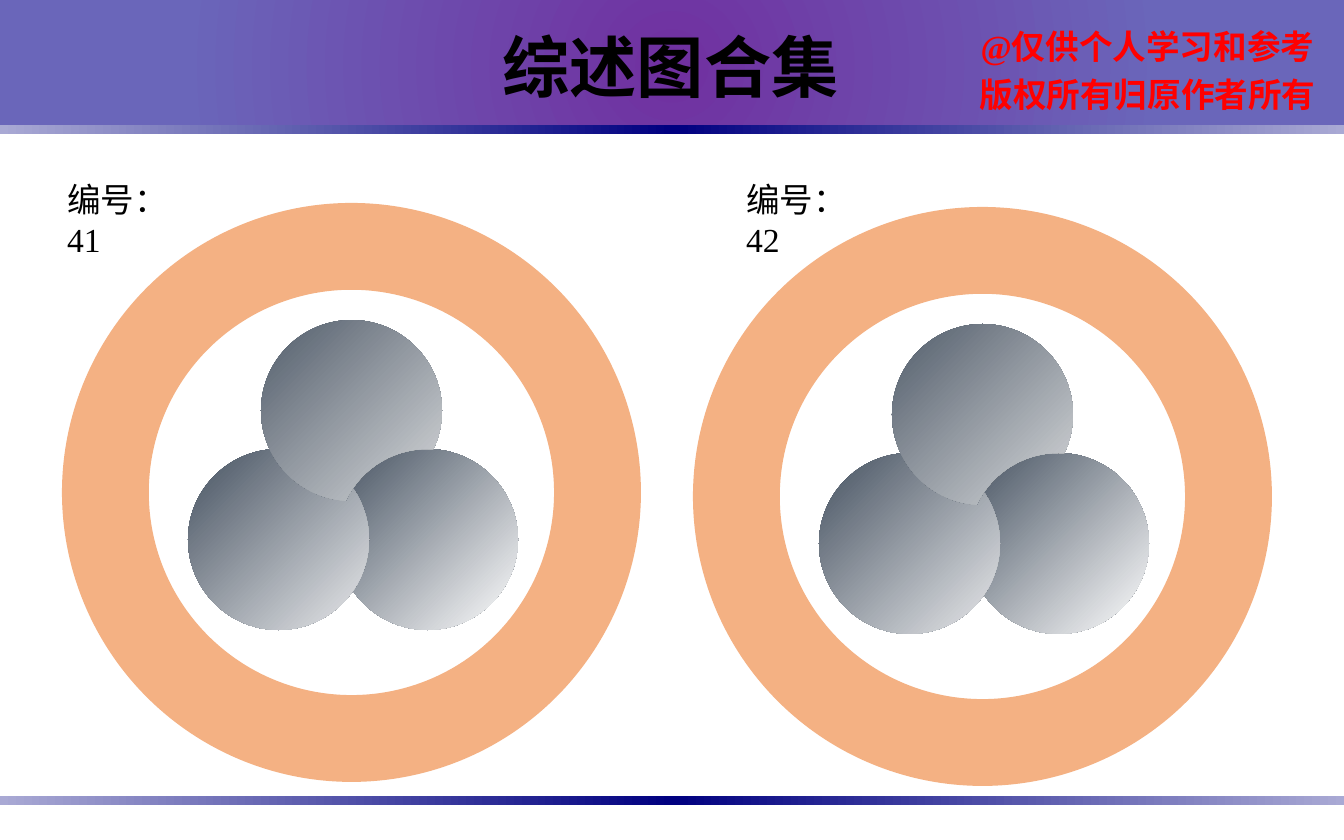
from math import acos, atan2, cos, degrees, dist, pi, sin
from lxml.etree import SubElement
from pptx import Presentation
from pptx.dml.color import RGBColor
from pptx.enum.shapes import MSO_SHAPE
from pptx.enum.text import MSO_ANCHOR, PP_ALIGN
from pptx.oxml.ns import qn
from pptx.util import Pt

PX = 914400 / 134.4
THEME = {
    "ring": "F4B183",
    "header": [(0, "7030A0"), (73, "6A66BA"), (100, "6A66BA")],
    "rule": [(0, "A9A9D4"), (50, "000080"), (100, "A9A9D4")],
    "right": [(0, "FFFFFF"), (100, "465261")],
    "left": [(0, "E8E9EB"), (100, "465261")],
    "top": [(0, "D6D8DA"), (100, "525D6B")],
    "title": {"size": Pt(36), "name": "Arial", "bold": True, "color": "000000"},
    "notice": {"size": Pt(18), "name": "Times New Roman", "bold": True, "color": "FF0000"},
    "label": {"size": Pt(18), "name": "Times New Roman", "bold": False, "color": "000000"},
}


def paint_gradient(shape, stops, focus=None):
    shape.shadow.inherit = False
    shape.line.fill.background()
    shape.fill.gradient()
    grad = shape.element.spPr.find(qn("a:gradFill"))
    for child in list(grad):
        grad.remove(child)
    stop_list = SubElement(grad, qn("a:gsLst"))
    for position, color in stops:
        stop = SubElement(stop_list, qn("a:gs"), pos=str(position * 1000))
        SubElement(stop, qn("a:srgbClr"), val=color)
    if focus:
        track = SubElement(grad, qn("a:path"), path="circle")
        SubElement(track, qn("a:fillToRect"),
                   {side: str(share * 1000) for side, share in zip("ltrb", focus)})
    else:
        SubElement(grad, qn("a:lin"), ang="0", scaled="0")


def write_text(shape, lines, style, align, wrap, spacing=1.0):
    frame = shape.text_frame
    frame.word_wrap = wrap
    frame.vertical_anchor = MSO_ANCHOR.TOP
    frame.text = "\n".join(lines)
    for paragraph in frame.paragraphs:
        paragraph.alignment = align
        paragraph.line_spacing = spacing
        font = paragraph.runs[0].font
        for key, value in THEME[style].items():
            if key == "color":
                font.color.rgb = RGBColor.from_string(value)
            else:
                setattr(font, key, value)


deck = Presentation()
deck.slide_width, deck.slide_height = round(1344 * PX), round(840 * PX)
slide = deck.slides.add_slide(deck.slide_layouts[5])
shapes = slide.shapes

header = shapes.add_shape(MSO_SHAPE.RECTANGLE, 0, 0, deck.slide_width, round(132 * PX))
paint_gradient(header, THEME["header"], (50, 50, 50, 50))

notice = shapes.add_textbox(*[round(v * PX) for v in (962, 11, 371, 106)])
write_text(notice, ["@仅供个人学习和参考", "版权所有归原作者所有"], "notice", PP_ALIGN.CENTER, False, 1.2)

for rule_top in (125, 796):
    rule = shapes.add_shape(MSO_SHAPE.RECTANGLE, 0, round(rule_top * PX),
                            deck.slide_width, round(9 * PX))
    paint_gradient(rule, THEME["rule"])

RING, DISC = 579, 181
RADIUS = DISC / 2
CORNERS = {"right": (275, 246), "left": (126, 246), "top": (199, 117)}
top_x, top_y = [v + RADIUS for v in CORNERS["top"]]
right_x, right_y = [v + RADIUS for v in CORNERS["right"]]
toward = atan2(right_y - top_y, right_x - top_x)
half = acos(dist(CORNERS["top"], CORNERS["right"]) / DISC)
stops = [toward + half, pi, 1.5 * pi, 2 * pi, 2 * pi + toward - half]
crescent = [(top_x + RADIUS * cos(a), top_y + RADIUS * sin(a)) for a in stops]
crescent.append(crescent[0])
arcs = [(start, end - start) for start, end in zip(stops, stops[1:])]
arcs.append((toward + pi + half, -2 * half))

for number, ring_left, ring_top, label_left in ((41, 62, 203, 54), (42, 693, 207, 733)):
    ring = shapes.add_shape(MSO_SHAPE.DONUT, *[round(v * PX) for v in (ring_left, ring_top, RING, RING)])
    ring.adjustments[0] = 0.15
    ring.shadow.inherit = False
    ring.fill.solid()
    ring.fill.fore_color.rgb = RGBColor.from_string(THEME["ring"])
    ring.line.fill.background()

    for place, (x, y) in CORNERS.items():
        if place == "top":
            outline = [(round((ring_left + px) * PX), round((ring_top + py) * PX)) for px, py in crescent]
            builder = shapes.build_freeform(*outline[0])
            builder.add_line_segments(outline[1:], close=True)
            disc = builder.convert_to_shape()
            edges = list(disc.element.iter(qn("a:lnTo")))
            for edge, (start, swing) in zip(edges, arcs):
                curve = SubElement(edge.getparent(), qn("a:arcTo"), {
                    "wR": str(round(RADIUS * PX)), "hR": str(round(RADIUS * PX)),
                    "stAng": str(round(degrees(start % (2 * pi)) * 60000)),
                    "swAng": str(round(degrees(swing) * 60000))})
                edge.getparent().replace(edge, curve)
        else:
            disc = shapes.add_shape(MSO_SHAPE.OVAL, *[
                round(v * PX) for v in (ring_left + x, ring_top + y, DISC, DISC)])
        paint_gradient(disc, THEME[place], (100, 100, 0, 0))

    label = shapes.add_textbox(*[round(v * PX) for v in (label_left, 172, 160, 54)])
    write_text(label, [f"编号：{number}"], "label", PP_ALIGN.LEFT, True)

title = shapes.title
title.left, title.top, title.width, title.height = [round(v * PX) for v in (487, 19, 367, 95)]
write_text(title, ["综述图合集"], "title", PP_ALIGN.CENTER, False)
title.element.getparent().append(title.element)

deck.save("out.pptx")
